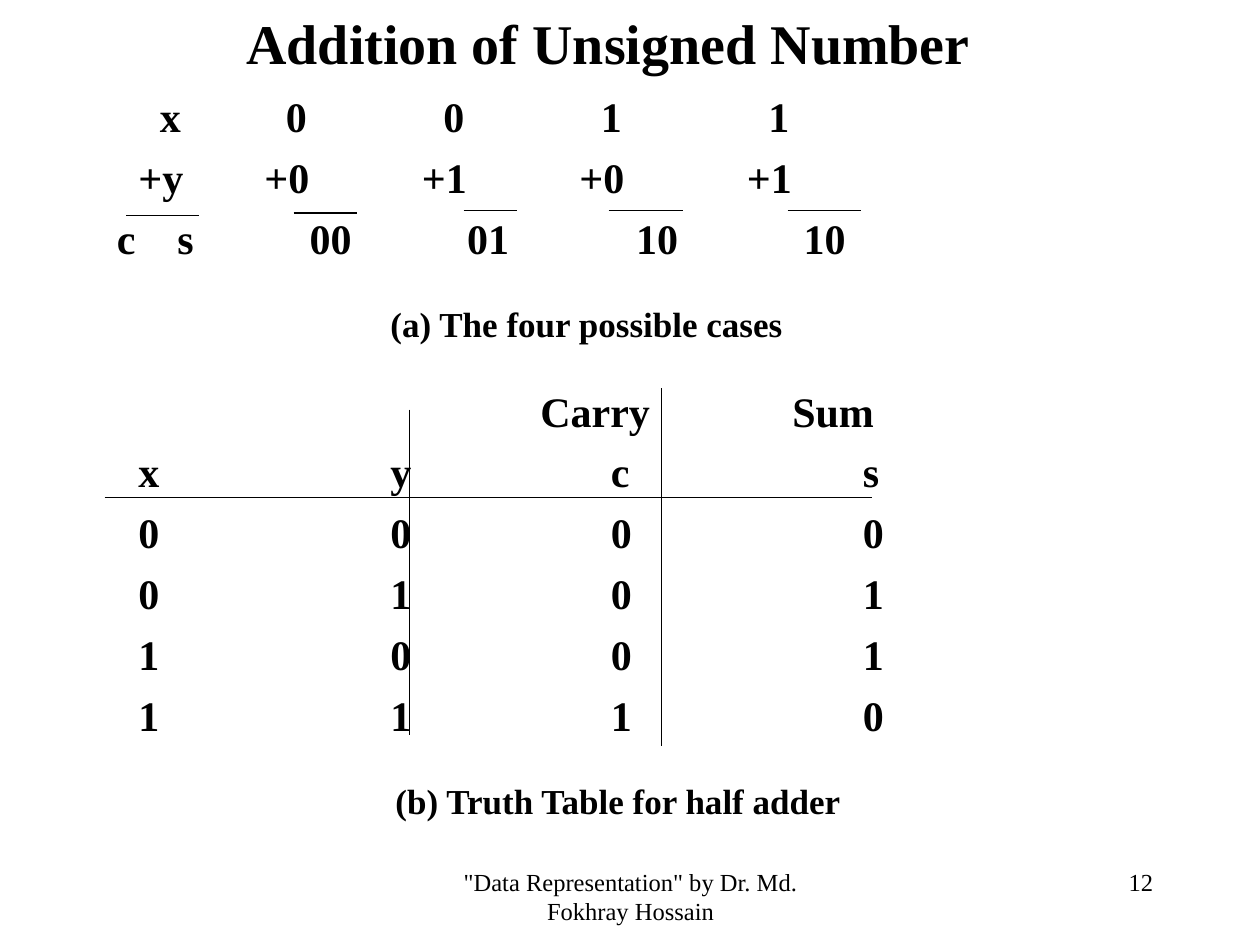
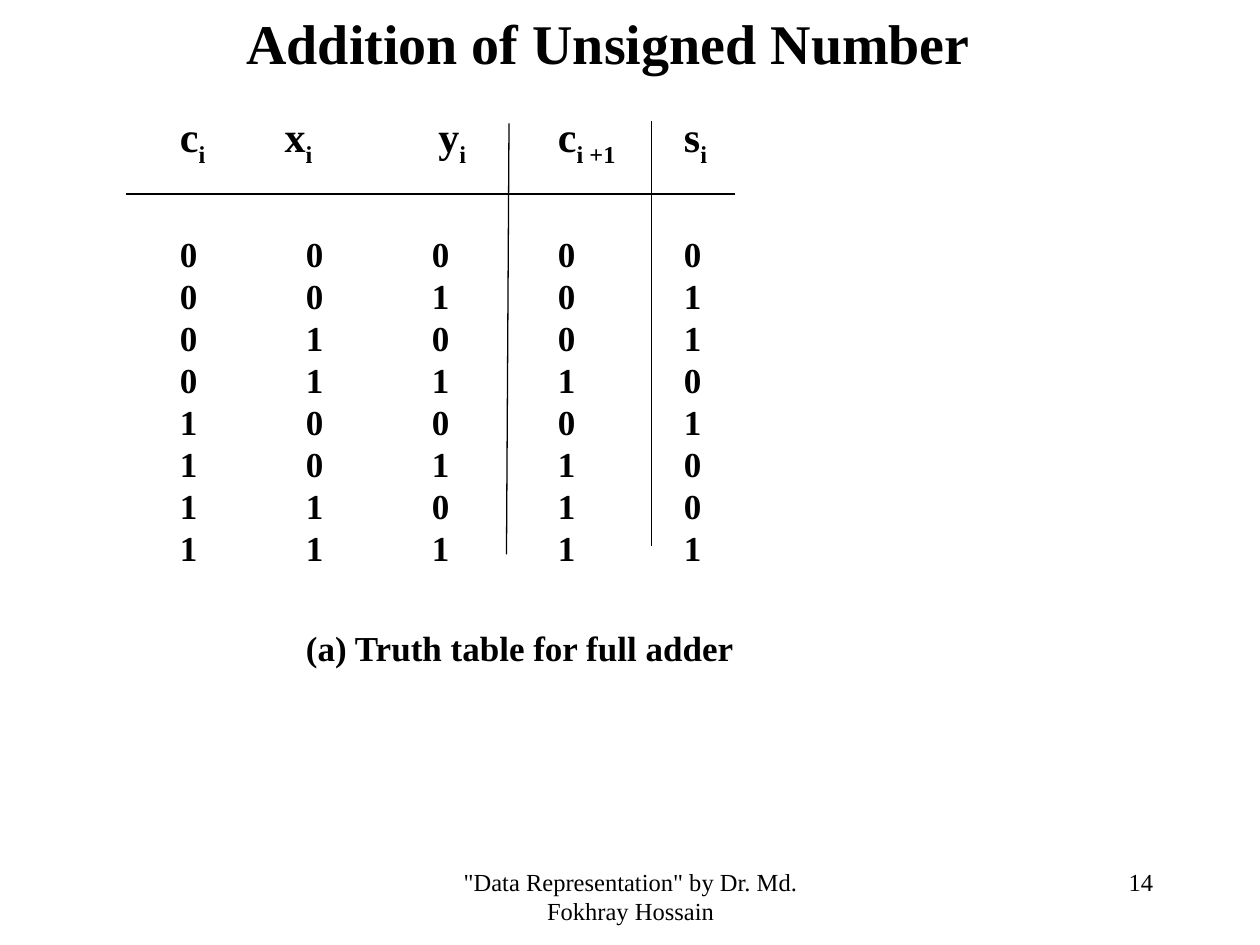
from itertools import product

from lxml import etree
from pptx import Presentation
from pptx.dml.color import RGBColor
from pptx.enum import shapes, text
from pptx.oxml import ns
from pptx.util import Inches, Pt

# Shared style
FONT = "Times New Roman"
BLACK = "000000"
TITLE = "Addition of Unsigned Number"
FOOTER = '"Data Representation" by Dr. Md. Fokhray Hossain'
LEFT, CENTER, RIGHT = text.PP_ALIGN.LEFT, text.PP_ALIGN.CENTER, text.PP_ALIGN.RIGHT


def color(value):
    return RGBColor.from_string(value)


def add_box(slide, left, top, width, height, anchor=text.MSO_ANCHOR.TOP):
    shape = slide.shapes.add_textbox(Inches(left), Inches(top), Inches(width), Inches(height))
    frame = shape.text_frame
    frame.word_wrap = True
    frame.vertical_anchor = anchor
    return frame


def add_run(paragraph, content, size, bold=False, subscript=False):
    run = paragraph.add_run()
    run.text = content
    font = run.font
    font.name, font.size, font.bold = FONT, Pt(size), bold
    font.color.rgb = color(BLACK)
    if subscript:
        run._r.get_or_add_rPr().set("baseline", "-25000")


def add_label(slide, bounds, content, size, align, bold=False, anchor=text.MSO_ANCHOR.TOP):
    paragraph = add_box(slide, *bounds, anchor).paragraphs[0]
    paragraph.alignment = align
    add_run(paragraph, content, size, bold)


def set_tabs(paragraph, stops):
    tab_list = etree.SubElement(paragraph._p.get_or_add_pPr(), ns.qn("a:tabLst"))
    for stop in stops:
        etree.SubElement(tab_list, ns.qn("a:tab"), pos=str(Inches(stop)), algn="l")


def add_row(frame, cells, stops, size=24, space=0):
    """Write one line of cells, each at its tab stop; "c_i" gives c a subscript i."""
    first = frame.paragraphs[0]
    paragraph = frame.add_paragraph() if first.runs else first
    set_tabs(paragraph, stops)
    paragraph.alignment = LEFT
    if paragraph._p is not first._p:
        paragraph.space_before = Pt(space)
    for cell in cells:
        base, _, index = cell.partition("_")
        add_run(paragraph, "\t" + base, size, bold=True)
        if index:
            add_run(paragraph, index, size, bold=True, subscript=True)


def add_rule(slide, x1, y1, x2, y2):
    line = slide.shapes.add_connector(
        shapes.MSO_CONNECTOR.STRAIGHT, Inches(x1), Inches(y1), Inches(x2), Inches(y2))
    line.line.color.rgb = color(BLACK)
    line.line.width = Pt(0.75)
    etree.SubElement(line._element.spPr, ns.qn("a:effectLst"))


def add_slide(presentation, number):
    slide = presentation.slides.add_slide(presentation.slide_layouts[6])
    add_label(slide, (0.58, 0, 8.5, 0.67), TITLE, 32, CENTER, True, text.MSO_ANCHOR.MIDDLE)
    add_label(slide, (3.42, 6.83, 3.17, 0.5), FOOTER, 14, CENTER)
    add_label(slide, (7.17, 6.83, 2.08, 0.5), str(number), 14, RIGHT)
    return slide


def build_half_adder(presentation):
    slide = add_slide(presentation, 12)
    body = add_box(slide, 0.33, 0.67, 9.25, 6.17)

    # Four sums
    add_row(body, ["x", "0", "0", "1", "1"], [0.84, 1.84, 3.09, 4.34, 5.67])
    add_row(body, ["+y", "+0", "+1", "+0", "+1"], [0.67, 1.67, 2.92, 4.17, 5.5], space=6)
    add_row(body, ["c", "s", "00", "01", "10", "10"],
            [0.5, 0.98, 2.03, 3.28, 4.62, 5.95], space=6)
    add_row(body, ["(a) The four possible cases"], [2.67], 20, 22.4)

    # Truth table
    add_row(body, ["Carry", "Sum"], [3.86, 5.86], space=23.4)
    columns = [0.67, 2.67, 4.42, 6.42]
    add_row(body, ["x", "y", "c", "s"], columns, space=6)
    for x, y in product((0, 1), repeat=2):
        add_row(body, [str(bit) for bit in (x, y, x & y, x ^ y)], columns, space=6)
    add_row(body, ["(b) Truth Table for half adder"], [2.71], 20, 22.4)

    # Lines above the results, then the table lines
    for start, end, y in [(1, 1.58, 1.71), (2.33, 2.83, 1.69), (3.68, 4.1, 1.67),
                          (4.83, 5.42, 1.67), (6.25, 6.83, 1.67), (0.83, 6.92, 3.95)]:
        add_rule(slide, start, y, end, y)
    add_rule(slide, 3.25, 3.25, 3.25, 5.83)
    add_rule(slide, 5.25, 3.08, 5.25, 5.92)


def build_full_adder(presentation):
    slide = add_slide(presentation, 14)
    body = add_box(slide, 0.33, 0.83, 9.25, 5.75)

    # Truth table
    add_row(body, ["c_i", "x_i", "y_i", "c_i +1", "s_i"], [1, 1.83, 3.05, 4, 5])
    for number, bits in enumerate(product((0, 1), repeat=3)):
        carry, total = divmod(sum(bits), 2)
        add_row(body, [str(bit) for bit in (*bits, carry, total)], range(1, 6), 20,
                space=0 if number else 37)
    add_row(body, ["(a) Truth table for full adder"], [2], 20, 33)

    # Table lines
    add_rule(slide, 1, 1.54, 5.83, 1.54)
    add_rule(slide, 4.04, 0.98, 4.02, 4.4)
    add_rule(slide, 5.17, 0.96, 5.17, 4.33)


def main():
    presentation = Presentation()
    presentation.slide_width, presentation.slide_height = Inches(10), Inches(7.5)
    build_half_adder(presentation)
    build_full_adder(presentation)
    presentation.save("out.pptx")


if __name__ == "__main__":
    main()
